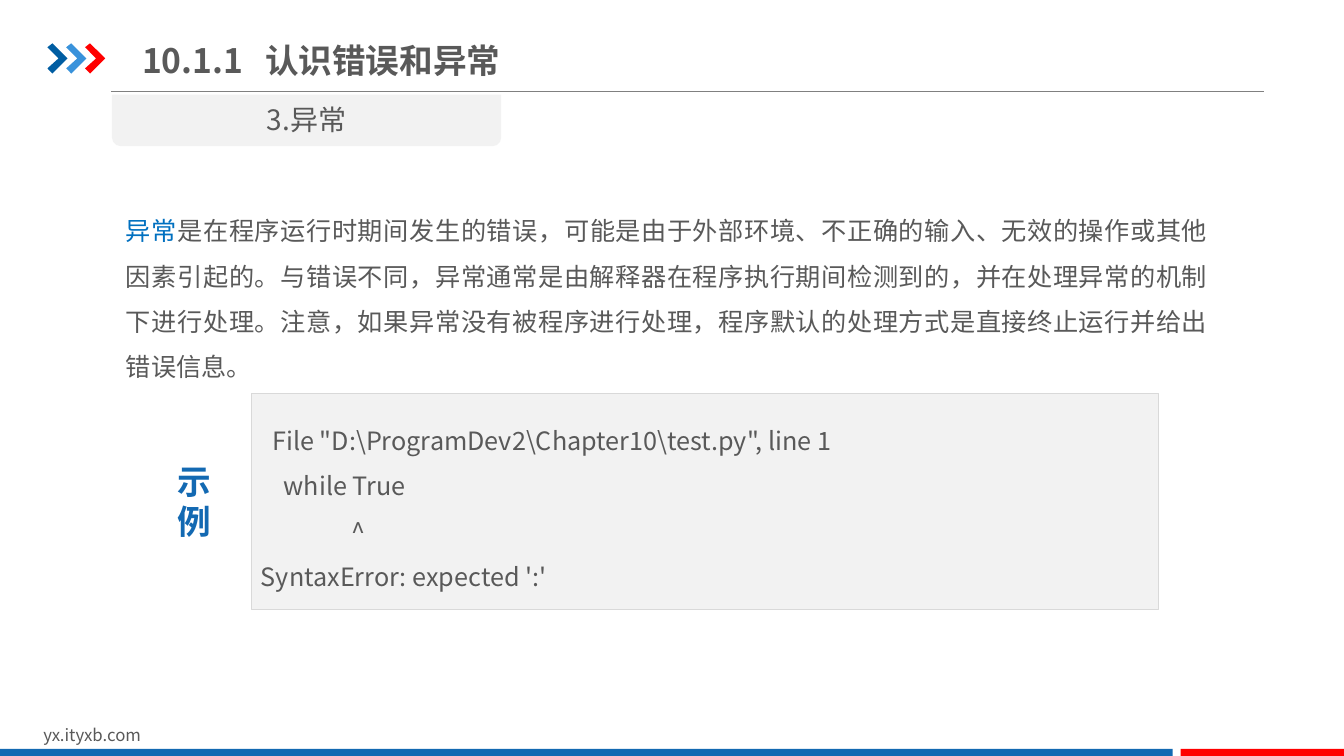
from lxml.etree import SubElement
from pptx import Presentation
from pptx.dml.color import RGBColor
from pptx.enum.shapes import MSO_CONNECTOR, MSO_SHAPE
from pptx.enum.text import MSO_ANCHOR, PP_ALIGN
from pptx.oxml.ns import qn
from pptx.util import Inches, Pt

FONT = "Noto Sans CJK SC"
GREY, BLUE, RED, PALE = "595959", "1369B2", "FF0000", "F2F2F2"

CHEVRON_COLOURS = ["005DA2", "3992DB", RED]
CHEVRON_OUTLINE = [(0, 0.13), (0.25, 0), (1, 0.5), (0.25, 1), (0, 0.83), (0.55, 0.5)]
CHEVRON_BOX = (3.53, 5.73, 1.5, 4)
CHEVRON_STEP = 1.4

RULE = (8.25, 94.07, 12.13)
TITLE_TAB = 1.22
CODE_BOX = (18.68, 52, 67.52, 28.53)

PANELS = [
    (MSO_SHAPE.RECTANGLE, (0, 99.07, 87.25, 0.93), BLUE, 0),
    (MSO_SHAPE.RECTANGLE, (87.85, 99.07, 12.15, 0.93), RED, 0),
    (MSO_SHAPE.ROUND_2_SAME_RECTANGLE, (8.33, 12.53, 28.96, 6.8), PALE, 180),
]

BODY = (
    "是在程序运行时期间发生的错误，可能是由于外部环境、不正确的输入、无效的操作或其他因素引起的。"
    "与错误不同，异常通常是由解释器在程序执行期间检测到的，并在处理异常的机制下进行处理。"
    "注意，如果异常没有被程序进行处理，程序默认的处理方式是直接终止运行并给出错误信息。"
)
CODE = [
    "  File \"D:\\ProgramDev2\\Chapter10\\test.py\", line 1",
    "    while True",
    "                ^",
    "SyntaxError: expected ':'",
]

FOOTER_STYLE = {"size": Pt(12)}
TAB_STYLE = {"size": Pt(20)}
TITLE_STYLE = {"size": Pt(24), "bold": True}
TEXT_STYLE = {"size": Pt(18)}
CENTRED = {"alignment": PP_ALIGN.CENTER}
JUSTIFIED = {"alignment": PP_ALIGN.JUSTIFY, "line_spacing": 1.5}

TEXTS = [
    ((2.48, 95.2, 23.86, 4), [[("yx.ityxb.com", GREY)]], FOOTER_STYLE, {}, {}),
    ((8.33, 12.93, 28.96, 5.87), [[("3.异常", GREY)]], TAB_STYLE, CENTRED, {}),
    ((9.83, 3.87, 40.59, 8.13), [[("10.1.1\t认识错误和异常", GREY)]], TITLE_STYLE, {},
     {"vertical_anchor": MSO_ANCHOR.MIDDLE}),
    ((8.63, 25.87, 81.99, 25.6), [[("异常", "0070C0"), (BODY, GREY)]], TEXT_STYLE, JUSTIFIED, {}),
    ((12.45, 60.27, 4.05, 12.13), [[(character, BLUE)] for character in "示例"],
     TITLE_STYLE, CENTRED, {"word_wrap": False}),
]

presentation = Presentation()
presentation.slide_width, presentation.slide_height = Inches(13.33), Inches(7.5)
slide = presentation.slides.add_slide(presentation.slide_layouts[6])
shapes = slide.shapes


def colour(value):
    return RGBColor.from_string(value)


def across(share):
    return round(presentation.slide_width * share / 100)


def down(share):
    return round(presentation.slide_height * share / 100)


def place(box):
    left, top, width, height = box
    return across(left), down(top), across(width), down(height)


def apply(target, values):
    for name, value in values.items():
        setattr(target, name, value)


def paint(shape, fill, line=None):
    shape.shadow.inherit = False
    shape.fill.solid()
    shape.fill.fore_color.rgb = colour(fill)
    if line:
        shape.line.color.rgb = colour(line)
        shape.line.width = Pt(0.25)
    else:
        shape.line.fill.background()


def write(frame, paragraphs, font_style, paragraph_style, frame_style):
    apply(frame, {"word_wrap": True, **frame_style})
    for index, pieces in enumerate(paragraphs):
        paragraph = frame.add_paragraph() if index else frame.paragraphs[0]
        apply(paragraph, paragraph_style)
        for text, ink in pieces:
            if "\t" in text:
                stops = SubElement(paragraph._p.get_or_add_pPr(), qn("a:tabLst"))
                SubElement(stops, qn("a:tab"), pos=str(Inches(TITLE_TAB)), algn="l")
            run = paragraph.add_run()
            run.text = text
            apply(run.font, {"name": FONT, **font_style})
            run.font.color.rgb = colour(ink)
            SubElement(run.font._element, qn("a:ea"), typeface=FONT)


start, end, level = RULE
rule = shapes.add_connector(MSO_CONNECTOR.STRAIGHT, across(start), down(level), across(end), down(level))
rule.line.color.rgb = colour("808080")
rule.line.width = Pt(0.75)
SubElement(rule._element.spPr, qn("a:effectLst"))

left, top, width, height = CHEVRON_BOX
for index, fill in enumerate(CHEVRON_COLOURS):
    points = [
        (across(left + index * CHEVRON_STEP + x * width), down(top + y * height))
        for x, y in CHEVRON_OUTLINE
    ]
    builder = shapes.build_freeform(*points[0])
    builder.add_line_segments(points[1:], close=True)
    paint(builder.convert_to_shape(), fill)

for kind, box, fill, rotation in PANELS:
    panel = shapes.add_shape(kind, *place(box))
    panel.rotation = rotation
    paint(panel, fill)

code_panel = shapes.add_shape(MSO_SHAPE.RECTANGLE, *place(CODE_BOX))
paint(code_panel, PALE, "D9D9D9")
write(code_panel.text_frame, [[(line, GREY)] for line in CODE], TEXT_STYLE, JUSTIFIED,
      {"vertical_anchor": MSO_ANCHOR.MIDDLE})

for box, *content in TEXTS:
    write(shapes.add_textbox(*place(box)).text_frame, *content)

presentation.save("out.pptx")
